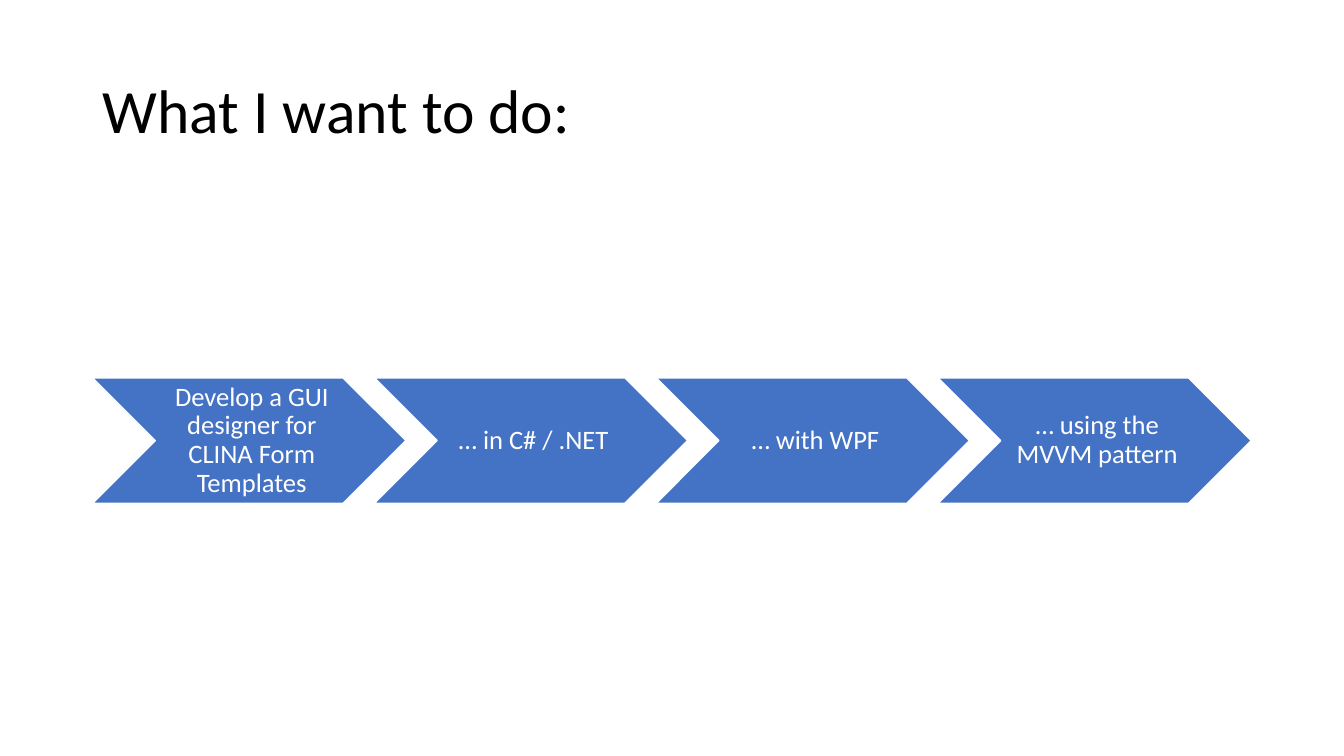
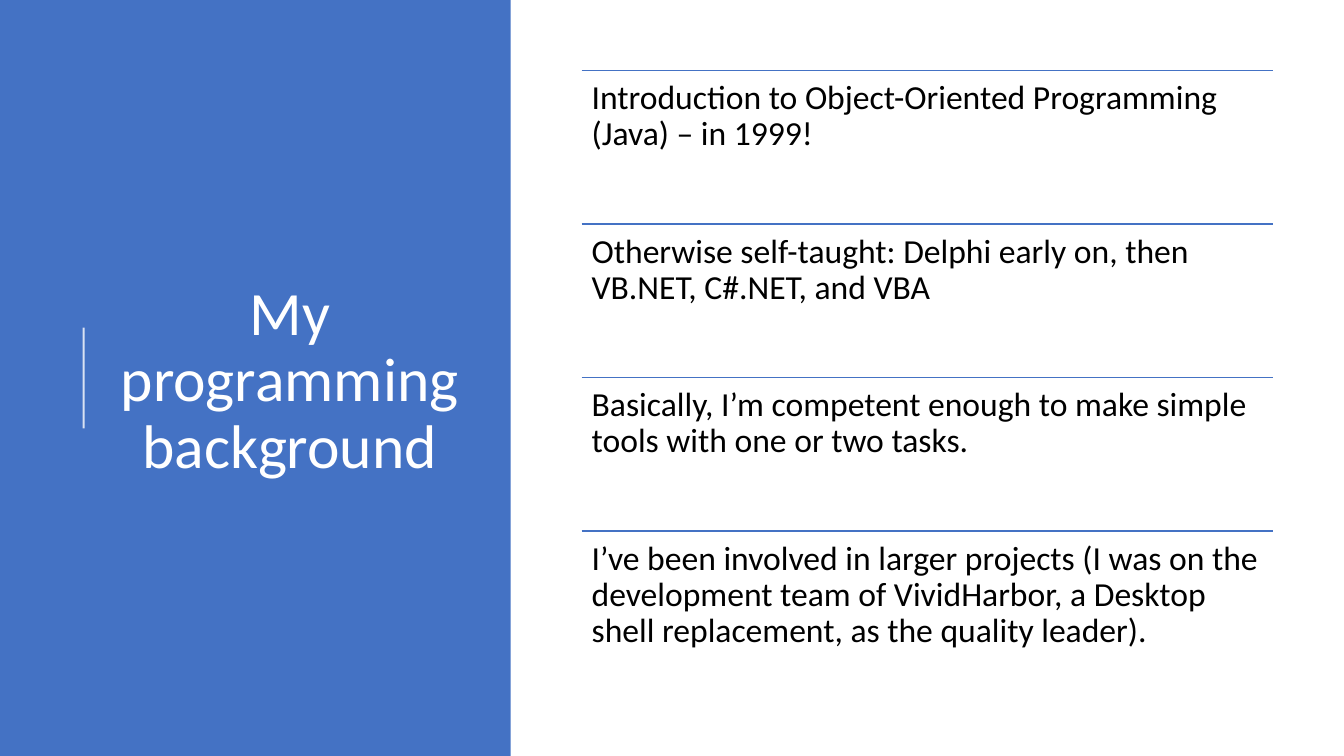
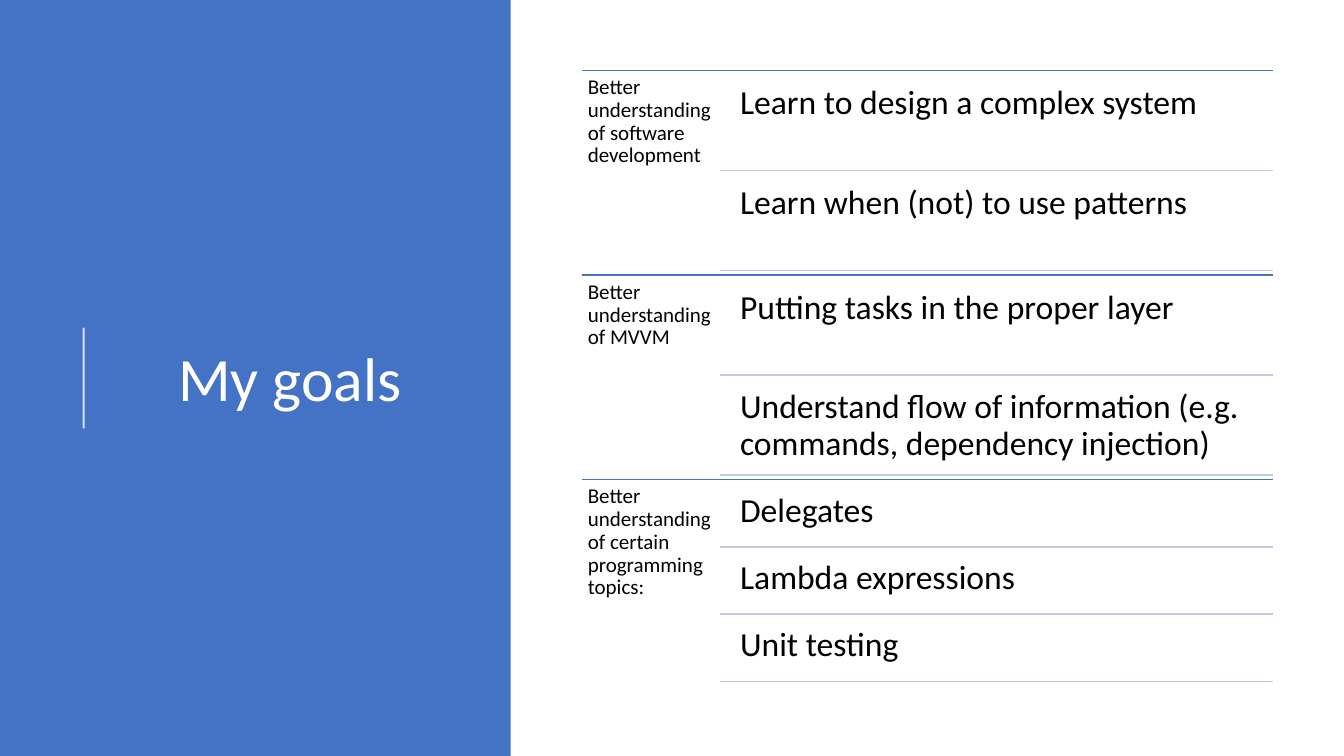
from dataclasses import dataclass

from lxml.etree import SubElement
from pptx import Presentation
from pptx.dml.color import RGBColor
from pptx.enum.shapes import MSO_CONNECTOR, MSO_SHAPE
from pptx.enum.text import MSO_ANCHOR, MSO_AUTO_SIZE, PP_ALIGN
from pptx.oxml.ns import qn
from pptx.util import Inches, Pt


@dataclass(frozen=True)
class Theme:
    font: str = "Calibri"
    blue: RGBColor = RGBColor(0x44, 0x72, 0xC4)
    pale: RGBColor = RGBColor(0xC1, 0xC9, 0xE4)
    white: RGBColor = RGBColor(0xFF, 0xFF, 0xFF)
    black: RGBColor = RGBColor(0, 0, 0)
    title_size: int = 44
    body_size: int = 24
    step_size: int = 19
    label_size: int = 15
    rule_width: float = 1
    accent_width: float = 1.5


THEME = Theme()

# Page grid, in inches
WIDTH, HEIGHT = 13.33, 7.5
MARGIN = 0.92
PANEL_WIDTH = 0.38 * WIDTH
LIST_LEFT, LIST_TOP = 5.77, 0.7
LIST_WIDTH, LIST_HEIGHT = 6.86, 6.09
LIST_RIGHT = LIST_LEFT + LIST_WIDTH
LABEL_WIDTH = 0.2 * LIST_WIDTH
ITEM_INDENT = 0.1
GAP_SHARE = 0.05  # gap between items, as a share of an item's height
STEP_OVERLAP = 0.9  # distance between chevrons, as a share of their width
STEP_ASPECT = 0.4

STEPS = [
    "Develop a GUI designer for CLINA Form Templates",
    "… in C# / .NET",
    "… with WPF",
    "… using the MVVM pattern",
]
BACKGROUND = [
    "Introduction to Object-Oriented Programming (Java) – in 1999!",
    "Otherwise self-taught: Delphi early on, then VB.NET, C#.NET, and VBA",
    "Basically, I’m competent enough to make simple tools with one or two tasks.",
    "I’ve been involved in larger projects (I was on the development team of "
    "VividHarbor, a Desktop shell replacement, as the quality leader).",
]
GOALS = {
    "Better understanding of software development": [
        "Learn to design a complex system",
        "Learn when (not) to use patterns",
    ],
    "Better understanding of MVVM": [
        "Putting tasks in the proper layer",
        "Understand flow of information (e.g. commands, dependency injection)",
    ],
    "Better understanding of certain programming topics:": [
        "Delegates",
        "Lambda expressions",
        "Unit testing",
    ],
}


# Basic elements
def set_all(target, values):
    for name, value in values.items():
        setattr(target, name, value)


def write(box, text, size, color, insets, align=PP_ALIGN.LEFT, anchor=MSO_ANCHOR.TOP):
    frame = box.text_frame
    left, top, right, bottom = map(Inches, insets)
    set_all(frame, {
        "word_wrap": True, "auto_size": MSO_AUTO_SIZE.NONE, "vertical_anchor": anchor,
        "margin_left": left, "margin_top": top,
        "margin_right": right, "margin_bottom": bottom,
    })
    para = frame.paragraphs[0]
    set_all(para, {"alignment": align, "line_spacing": 0.9})
    span = para.add_run()
    span.text = text
    set_all(span.font, {"name": THEME.font, "size": Pt(size)})
    span.font.color.rgb = color


def add_text(page, area, text, size, inset):
    box = page.shapes.add_textbox(*map(Inches, area))
    write(box, text, size, THEME.black, [inset] * 4)


def add_block(page, kind, area, outline=None):
    block = page.shapes.add_shape(kind, *map(Inches, area))
    block.shadow.inherit = False
    block.fill.solid()
    block.fill.fore_color.rgb = THEME.blue
    if outline is None:
        block.line.fill.background()
    else:
        block.line.color.rgb = outline
        block.line.width = Pt(THEME.rule_width)
    return block


def add_rule(page, start, end, color, width=THEME.rule_width, opacity=None):
    rule = page.shapes.add_connector(MSO_CONNECTOR.STRAIGHT, *map(Inches, (*start, *end)))
    rule.line.color.rgb = color
    rule.line.width = Pt(width)
    properties = rule.element.spPr
    if opacity is not None:
        tint = next(properties.iter(qn("a:srgbClr")))
        SubElement(tint, qn("a:alpha"), val=str(opacity * 1000))
    SubElement(properties, qn("a:effectLst"))


def add_page(deck, title, area, color, align):
    page = deck.slides.add_slide(deck.slide_layouts[5])
    left, top, width, height = map(Inches, area)
    heading = page.shapes.title
    set_all(heading, {"left": left, "top": top, "width": width, "height": height})
    write(heading, title, THEME.title_size, color, (0.1, 0.05, 0.1, 0.05),
          align, MSO_ANCHOR.MIDDLE)
    return page


def add_panel_page(deck, title):
    page = add_page(deck, title, (1.03, 0.78, 3.69, 6.02), THEME.white, PP_ALIGN.CENTER)
    panel = add_block(page, MSO_SHAPE.RECTANGLE, (0, 0, PANEL_WIDTH, HEIGHT))
    page.shapes.title.element.addprevious(panel.element)  # behind the title
    add_rule(page, (0.83, 4.25), (0.83, 3.25), THEME.white, THEME.accent_width, opacity=80)
    return page


# Slide contents
def add_steps(page, steps):
    width = (WIDTH - 2 * MARGIN) / (1 + STEP_OVERLAP * (len(steps) - 1))
    height = STEP_ASPECT * width
    for index, text in enumerate(steps):
        area = (MARGIN + index * STEP_OVERLAP * width, HEIGHT / 2, width, height)
        step = add_block(page, MSO_SHAPE.CHEVRON, area, THEME.white)
        write(step, text, THEME.step_size, THEME.white, (0.08, 0.03, 0.03, 0.03),
              PP_ALIGN.CENTER, MSO_ANCHOR.MIDDLE)


def ruled_rows(page, count):
    """Draw the rule above each list row and yield the row's top and height."""
    height = LIST_HEIGHT / count
    for index in range(count):
        top = LIST_TOP + index * height
        add_rule(page, (LIST_LEFT, top), (LIST_RIGHT, top), THEME.blue)
        yield top, height


def add_list(page, entries):
    for text, (top, height) in zip(entries, ruled_rows(page, len(entries))):
        add_text(page, (LIST_LEFT, top, LIST_WIDTH, height), text, THEME.body_size, 0.1)


def add_items(page, items, top, row_height):
    height = row_height / (len(items) + GAP_SHARE * (len(items) + 1))
    gap = GAP_SHARE * height
    rule_left = LIST_LEFT + LABEL_WIDTH
    left = rule_left + ITEM_INDENT
    for index, text in enumerate(items):
        item_top = top + gap + index * (height + gap)
        bottom = item_top + height
        add_text(page, (left, item_top, LIST_RIGHT - left, height), text,
                 THEME.body_size, 0.1)
        add_rule(page, (rule_left, bottom), (LIST_RIGHT, bottom), THEME.pale)


def add_grouped_list(page, groups):
    rows = ruled_rows(page, len(groups))
    for (label, items), (top, height) in zip(groups.items(), rows):
        add_text(page, (LIST_LEFT, top, LABEL_WIDTH, height), label, THEME.label_size, 0.06)
        add_items(page, items, top, height)


def main():
    deck = Presentation()
    set_all(deck, {"slide_width": Inches(WIDTH), "slide_height": Inches(HEIGHT)})

    title_area = (MARGIN, 0.4, WIDTH - 2 * MARGIN, 1.45)
    page = add_page(deck, "What I want to do:", title_area, THEME.black, PP_ALIGN.LEFT)
    add_steps(page, STEPS)
    add_list(add_panel_page(deck, "My programming background"), BACKGROUND)
    add_grouped_list(add_panel_page(deck, "My goals"), GOALS)

    deck.save("out.pptx")


if __name__ == "__main__":
    main()
